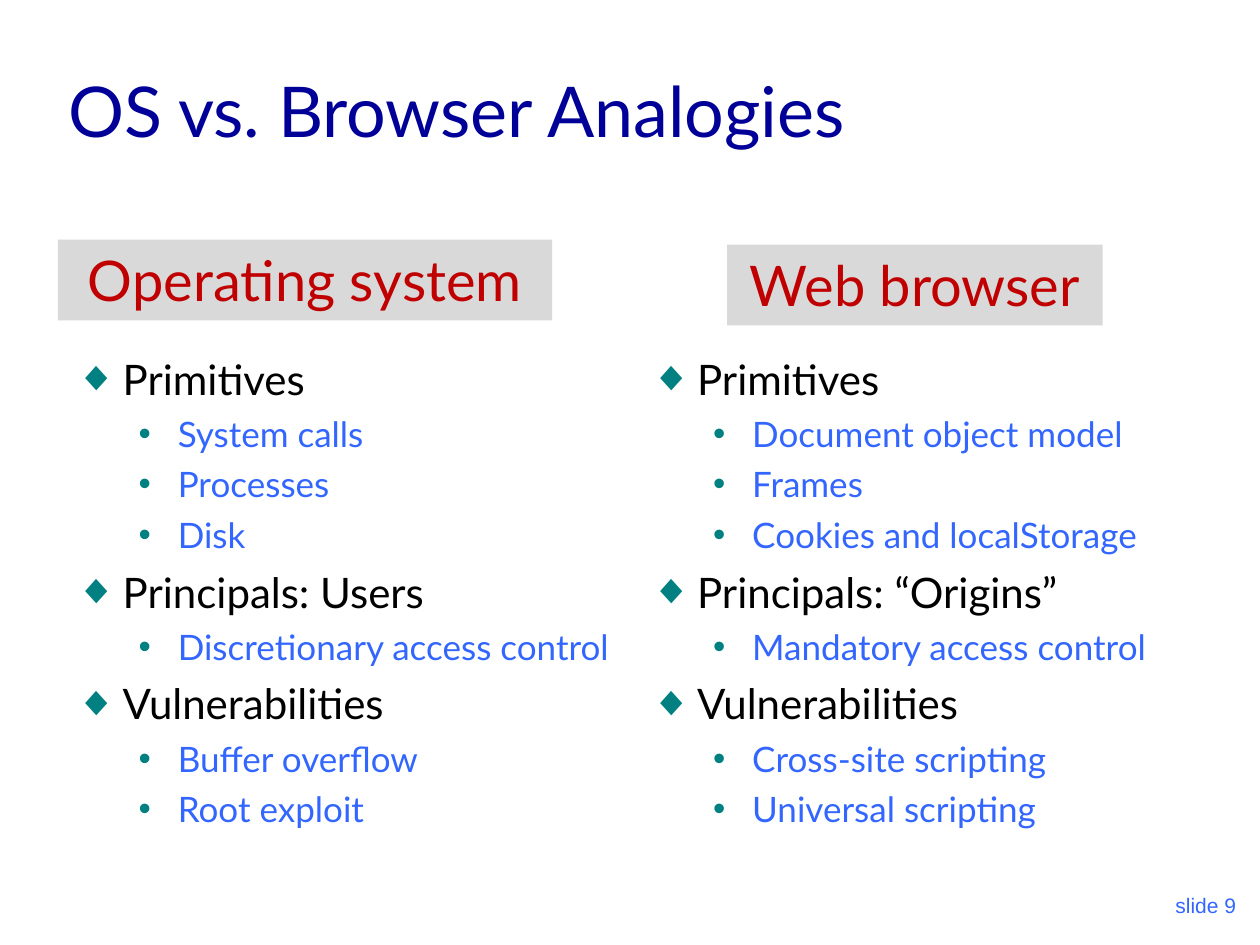
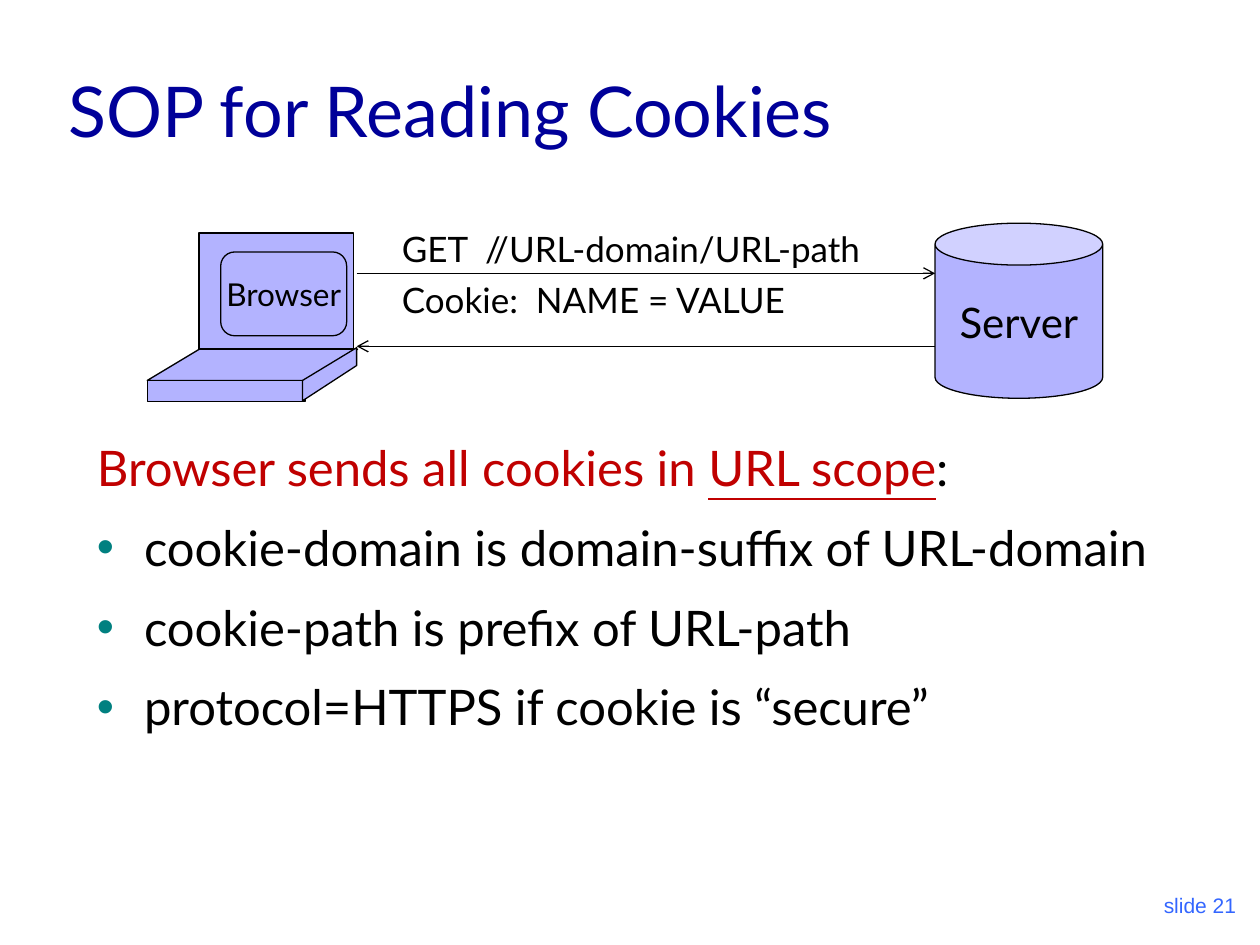
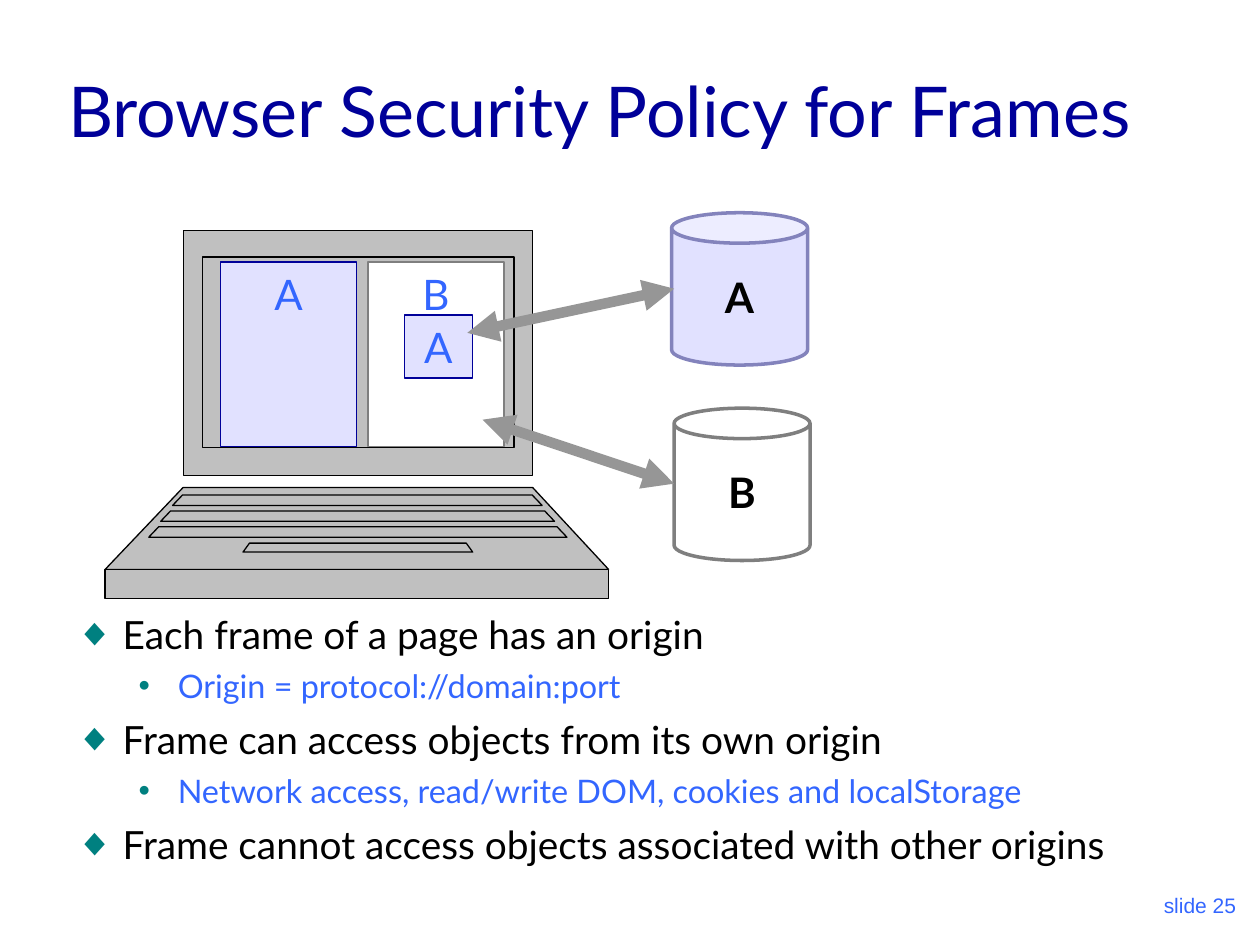
from lxml.etree import SubElement
from pptx import Presentation
from pptx.dml.color import RGBColor
from pptx.enum.shapes import MSO_CONNECTOR, MSO_SHAPE as SHAPE
from pptx.enum.text import MSO_ANCHOR as ANCHOR, MSO_AUTO_SIZE, PP_ALIGN as ALIGN
from pptx.oxml.ns import qn
from pptx.util import Cm, Pt

NAVY = RGBColor(0x00, 0x00, 0x99)
BLUE = RGBColor(0x33, 0x66, 0xFF)
TEAL = RGBColor(0x00, 0x80, 0x80)
RED = RGBColor(0xC0, 0x00, 0x00)
BLACK = RGBColor(0x00, 0x00, 0x00)
WHITE = RGBColor(0xFF, 0xFF, 0xFF)
LILAC = RGBColor(0xB3, 0xB3, 0xFF)
PALE_LILAC = RGBColor(0xE1, 0xE1, 0xFF)
DULL_LILAC = RGBColor(0x83, 0x83, 0xBC)
LIGHT_GREY = RGBColor(0xD9, 0xD9, 0xD9)
SILVER = RGBColor(0xC0, 0xC0, 0xC0)
ARROW_GREY = RGBColor(0x96, 0x96, 0x96)
DARK_GREY = RGBColor(0x7F, 0x7F, 0x7F)

FONT, NUMBER_FONT = "Lato", "Arial"
THIN, CAN_LINE, THICK = 0.75, 2, 6
TITLE_LAYOUT, TWO_BODY_LAYOUT = 1, 3

# Outline levels: colour, left margin (cm), hanging indent (cm), space before (pt), bullet
LEVELS = [(BLACK, 0.95, 0.95, 6, "◆"), (BLUE, 2.06, 0.79, 5, "•")]

# Content: heading, its box, list box, outline of (level, text)
COLUMNS = [
    ("Operating system", (1.17, 4.83, 9.96, 1.63), (1.27, 6.99, 11.58, 10.8), [
        (0, "Primitives"), (1, "System calls"), (1, "Processes"), (1, "Disk"),
        (0, "Principals: Users"), (1, "Discretionary access control"),
        (0, "Vulnerabilities"), (1, "Buffer overflow"), (1, "Root exploit")]),
    ("Web browser", (14.66, 4.93, 7.57, 1.63), (12.85, 6.99, 11.71, 10.8), [
        (0, "Primitives"), (1, "Document object model"), (1, "Frames"),
        (1, "Cookies and localStorage"),
        (0, "Principals: “Origins”"), (1, "Mandatory access control"),
        (0, "Vulnerabilities"), (1, "Cross-site scripting"), (1, "Universal scripting")]),
]
REQUEST = ["GET  //URL-domain/URL-path", "Cookie:  NAME = VALUE"]
SCOPE_INTRO = [("Browser sends all cookies in ", RED, False),
               ("URL scope", RED, True), (":", BLACK, False)]
SCOPE_RULES = ["cookie-domain is domain-suffix of URL-domain",
               "cookie-path is prefix of URL-path",
               "protocol=HTTPS if cookie is “secure”"]
FRAME_RULES = [
    (0, "Each frame of a page has an origin"),
    (1, "Origin = protocol://domain:port"),
    (0, "Frame can access objects from its own origin"),
    (1, "Network access, read/write DOM, cookies and localStorage"),
    (0, "Frame cannot access objects associated with other origins")]

# Laptop parts: left, right and y of the top edge, then of the bottom edge
KEY_ROWS = [(3.68 - 0.24 * row, 10.73 + 0.25 * row, 9.98 + 0.32 * row,
             3.48 - 0.24 * row, 10.93 + 0.25 * row, 10.19 + 0.32 * row)
            for row in range(3)]
LAPTOP = [(3.7, 10.74, 4.65, 3.7, 10.74, 9.58),
          (3.69, 10.74, 9.83, 2.12, 12.27, 11.48),
          (2.12, 12.27, 11.48, 2.12, 12.27, 12.07),
          (4.09, 10.36, 5.18, 4.09, 10.36, 9.02),
          *KEY_ROWS,
          (5.03, 9.4, 10.95, 4.9, 9.53, 11.13)]


def lengths(values):
    """Turn centimetres into lengths."""
    return [Cm(value) for value in values]


def add_run(paragraph, text, size, color, font=FONT, bold=False, underline=False):
    """Add one formatted run."""
    run = paragraph.add_run()
    run.text = text
    run.font.name, run.font.size = font, Pt(size)
    run.font.color.rgb = color
    run.font.bold, run.font.underline = bold, underline


def next_paragraph(frame):
    """Return the empty first paragraph, or a new one."""
    first = frame.paragraphs[0]
    return frame.add_paragraph() if first.runs else first


def set_bullet(paragraph, margin, hanging, bullet):
    """Set the hanging indent and the bullet; None gives no bullet."""
    properties = paragraph._p.get_or_add_pPr()
    properties.set("marL", str(Cm(margin)))
    properties.set("indent", str(-Cm(hanging)))
    if bullet is None:
        SubElement(properties, qn("a:buNone"))
        return
    color = SubElement(properties, qn("a:buClr"))
    SubElement(color, qn("a:srgbClr")).set("val", str(TEAL))
    SubElement(properties, qn("a:buChar")).set("char", bullet)


def place(shape, box, anchor=ANCHOR.TOP):
    """Move a text shape and return its text frame."""
    shape.left, shape.top, shape.width, shape.height = lengths(box)
    frame = shape.text_frame
    frame.auto_size, frame.word_wrap = MSO_AUTO_SIZE.NONE, True
    frame.vertical_anchor = anchor
    return frame


def add_outline(placeholder, box, outline, sizes):
    """Fill a body placeholder with a two-level list."""
    frame = place(placeholder, box)
    for level, text in outline:
        color, margin, hanging, space, bullet = LEVELS[level]
        paragraph = next_paragraph(frame)
        paragraph.level, paragraph.space_before = level, Pt(space)
        set_bullet(paragraph, margin, hanging, bullet)
        add_run(paragraph, text, sizes[level], color)


def add_slide(presentation, layout, title, number, title_width=21.59):
    """Add a slide with the shared title style and slide number."""
    slide = presentation.slides.add_slide(presentation.slide_layouts[layout])
    frame = place(slide.shapes.title, (1.12, 0.64, title_width, 2.54), ANCHOR.BOTTOM)
    frame.paragraphs[0].alignment = ALIGN.LEFT
    add_run(frame.paragraphs[0], title, 40, NAVY)
    box = (19.89, 17.35, 5.28, 1.27)
    frame = place(slide.shapes.add_textbox(*lengths(box)), box, ANCHOR.BOTTOM)
    frame.paragraphs[0].alignment = ALIGN.RIGHT
    frame.paragraphs[0].space_before = Pt(7.5)
    add_run(frame.paragraphs[0], f"slide {number}", 12, BLUE, NUMBER_FONT)
    return slide


def paint(shape, fill, line, width=THIN):
    """Give a shape a flat fill and an outline, or none."""
    shape.shadow.inherit = False
    shape.fill.solid()
    shape.fill.fore_color.rgb = fill
    if line is None:
        shape.line.fill.background()
    else:
        shape.line.color.rgb, shape.line.width = line, Pt(width)


def add_shape(slide, kind, box, fill, line=BLACK, width=THIN, adjust=None):
    """Add a painted preset shape."""
    shape = slide.shapes.add_shape(kind, *lengths(box))
    paint(shape, fill, line, width)
    if adjust is not None:
        shape.adjustments[0] = adjust
    return shape


def add_label(shape, text, size, color, anchor=ANCHOR.MIDDLE, bold=False):
    """Write a centred label in a shape."""
    frame = shape.text_frame
    frame.word_wrap, frame.vertical_anchor = False, anchor
    paragraph = frame.paragraphs[0]
    paragraph.alignment, paragraph.space_before = ALIGN.CENTER, Pt(size / 4)
    add_run(paragraph, text, size, color, bold=bold)


def add_polygon(slide, points, fill):
    """Add a closed outline through points."""
    start, *others = [lengths(point) for point in points]
    builder = slide.shapes.build_freeform(*start, scale=1.0)
    builder.add_line_segments(others, close=True)
    paint(builder.convert_to_shape(), fill, BLACK)


def add_arrow(slide, start, end, color, width, **ends):
    """Add a line with the given arrowheads."""
    connector = slide.shapes.add_connector(
        MSO_CONNECTOR.STRAIGHT, *lengths(start + end))
    connector.line.color.rgb, connector.line.width = color, Pt(width)
    line = connector.line._get_or_add_ln()
    for end_name, kind in ends.items():
        SubElement(line, qn(f"a:{end_name}")).set("type", kind)
    SubElement(connector._element.spPr, qn("a:effectLst"))


def build_analogies(presentation):
    """Two headed lists side by side."""
    slide = add_slide(presentation, TWO_BODY_LAYOUT, "OS vs. Browser Analogies", 9)
    for index, (heading, heading_box, box, outline) in enumerate(COLUMNS, 1):
        add_outline(slide.placeholders[index], box, outline, (24, 20))
        banner = add_shape(slide, SHAPE.RECTANGLE, heading_box, LIGHT_GREY, None)
        add_label(banner, heading, 32, RED, ANCHOR.TOP)


def build_cookies(presentation):
    """Browser and server exchange above the cookie rules."""
    slide = add_slide(presentation, TITLE_LAYOUT, "SOP for Reading Cookies", 21)
    frame = place(slide.placeholders[1], (1.7, 8.69, 22.43, 9.09))
    paragraph = next_paragraph(frame)
    paragraph.space_before = Pt(7)
    set_bullet(paragraph, 0.95, 0.95, None)
    for text, color, underline in SCOPE_INTRO:
        add_run(paragraph, text, 28, color, underline=underline)
    for text in SCOPE_RULES:
        paragraph = next_paragraph(frame)
        paragraph.space_before = Pt(12)
        set_bullet(paragraph, 0.95, 0.95, "•")
        add_run(paragraph, text, 28, BLACK)

    box = (7.85, 4.47, 10.13, 2.13)
    frame = place(slide.shapes.add_textbox(*lengths(box)), box)
    for text in REQUEST:
        paragraph = next_paragraph(frame)
        paragraph.space_before = Pt(5)
        add_run(paragraph, text, 20, BLACK)

    add_shape(slide, SHAPE.RECTANGLE, (4.01, 4.7, 3.12, 2.34), LILAC)
    screen = add_shape(slide, SHAPE.ROUNDED_RECTANGLE, (4.45, 5.08, 2.54, 1.69),
                       LILAC, adjust=0.167)
    add_label(screen, "Browser", 18, BLACK)
    add_shape(slide, SHAPE.PARALLELOGRAM, (2.97, 7.04, 4.24, 0.63), LILAC, adjust=1.667)
    add_shape(slide, SHAPE.RECTANGLE, (2.97, 7.67, 3.18, 0.43), LILAC)
    add_polygon(slide, [(6.1, 8.08), (7.19, 7.37), (7.19, 7.01), (6.1, 7.67)], LILAC)
    server = add_shape(slide, SHAPE.CAN, (18.85, 4.5, 3.38, 3.53), LILAC, adjust=0.25)
    add_label(server, "Server", 24, BLACK)
    browser_x, server_x = 7.19, 18.85
    for start_x, end_x, y in [(browser_x, server_x, 5.51), (server_x, browser_x, 6.98)]:
        add_arrow(slide, (start_x, y), (end_x, y), BLACK, THIN, tailEnd="arrow")


def build_frames(presentation):
    """Laptop with frames linked to their origins, above the frame rules."""
    slide = add_slide(presentation, TITLE_LAYOUT,
                      "Browser Security Policy for Frames", 25, 23.01)
    add_outline(slide.placeholders[1], (1.27, 12.19, 23.5, 6.02), FRAME_RULES, (22.2, 18.5))
    for top_left, top_right, top, bottom_left, bottom_right, bottom in LAPTOP:
        add_polygon(slide, [(top_left, top), (top_right, top),
                            (bottom_right, bottom), (bottom_left, bottom)], SILVER)
    for text, box, fill, line in [("A", (13.54, 4.29, 2.74, 3.07), PALE_LILAC, DULL_LILAC),
                                  ("B", (13.59, 8.23, 2.74, 3.07), WHITE, DARK_GREY)]:
        can = add_shape(slide, SHAPE.CAN, box, fill, line, CAN_LINE, 0.224)
        add_label(can, text, 24, BLACK, bold=True)
    for text, box, fill, line in [("A", (4.45, 5.28, 2.74, 3.73), PALE_LILAC, NAVY),
                                  ("B", (7.42, 5.28, 2.74, 3.73), WHITE, DARK_GREY),
                                  ("A", (8.15, 6.35, 1.37, 1.27), PALE_LILAC, NAVY)]:
        web_frame = add_shape(slide, SHAPE.RECTANGLE, box, fill, line)
        add_label(web_frame, text, 24, BLUE, ANCHOR.TOP)
    for start, end in [((9.73, 8.46), (13.59, 9.75)), ((9.42, 6.71), (13.59, 5.82))]:
        add_arrow(slide, start, end, ARROW_GREY, THICK,
                  headEnd="triangle", tailEnd="triangle")


presentation = Presentation()
presentation.slide_width, presentation.slide_height = Cm(25.4), Cm(19.05)
build_analogies(presentation)
build_cookies(presentation)
build_frames(presentation)
presentation.save("out.pptx")
